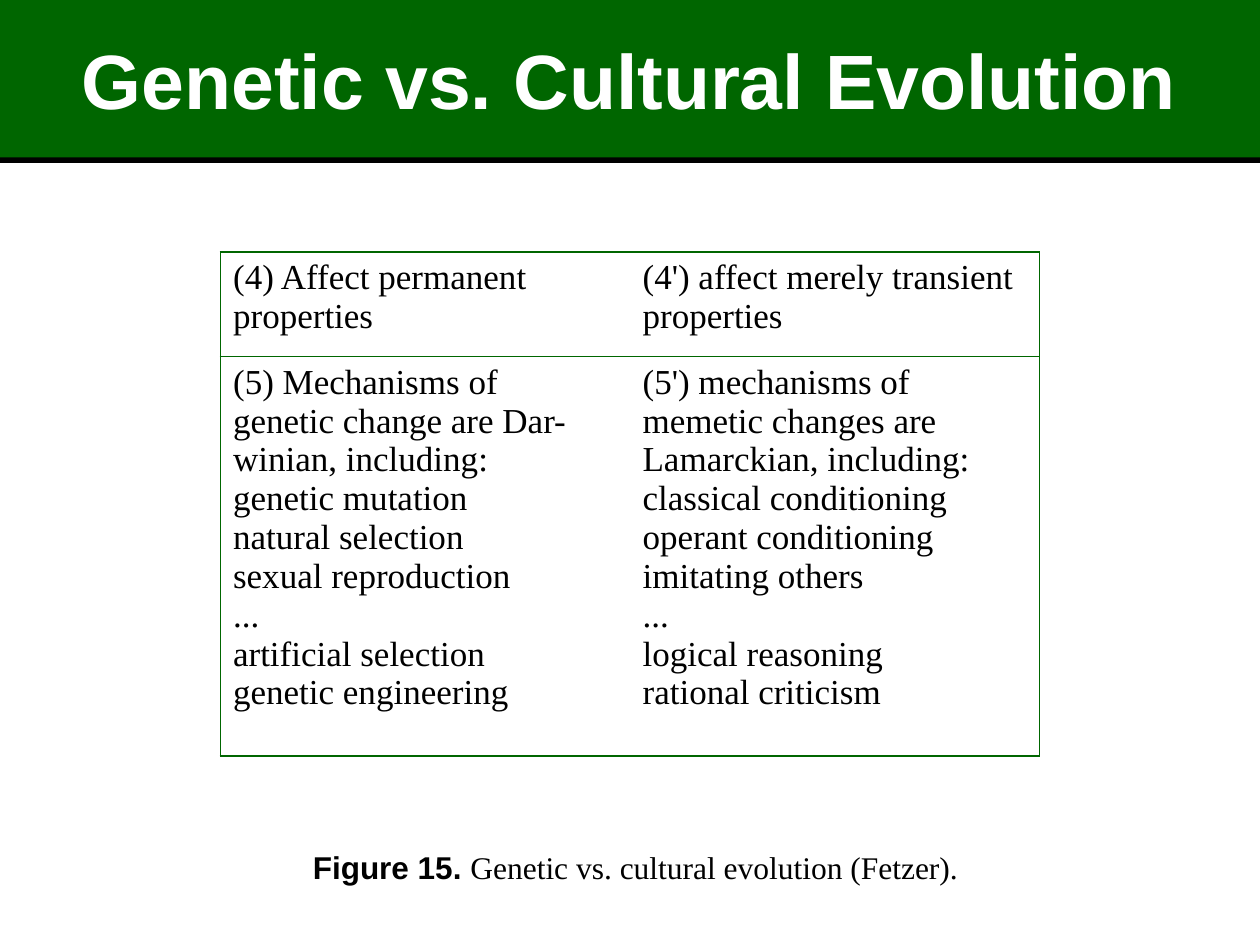
from lxml import etree
from pptx import Presentation
from pptx import util as u
from pptx.dml.color import RGBColor
from pptx.enum import shapes, text
from pptx.oxml import ns

SCALE = 9144  # EMU in one px, at 100 px to the inch
GREEN, BLACK, WHITE = "006600", "000000", "FFFFFF"
SANS, SERIF = "Arial", "Times New Roman"
OUTER, INNER = 1.08, 0.45  # table rule widths in points

ROWS = [
    (["(4) Affect permanent properties"],
     ["(4') affect merely transient properties"]),
    (["(5) Mechanisms of", "genetic change are Dar-", "winian, including:",
      "genetic mutation", "natural selection", "sexual reproduction", "...",
      "artificial selection", "genetic engineering"],
     ["(5') mechanisms of", "memetic changes are",
      "Lamarckian, including: classical conditioning operant conditioning "
      "imitating others",
      "...", "logical reasoning", "rational criticism"]),
]


def px(*lengths):
    return [u.Emu(length * SCALE) for length in lengths]


def color(value):
    return RGBColor.from_string(value)


def set_border(cell, index, side, width):
    """Rule one side of a cell, or leave it bare when width is None."""
    line = etree.Element(ns.qn(f"a:ln{side}"))
    if width is None:
        etree.SubElement(line, ns.qn("a:noFill"))
    else:
        line.set("w", str(u.Pt(width)))
        fill = etree.SubElement(line, ns.qn("a:solidFill"))
        etree.SubElement(fill, ns.qn("a:srgbClr"), val=GREEN)
    cell._tc.get_or_add_tcPr().insert(index, line)


class Slide:
    def __init__(self, deck):
        self.page = deck.slides.add_slide(deck.slide_layouts[6])

    def span(self, para, words, size, font, ink=BLACK, bold=False):
        run = para.add_run()
        run.text = words
        run.font.size = u.Pt(size)
        run.font.name = font
        run.font.bold = bold
        run.font.color.rgb = color(ink)

    def banner(self, words, left, top, width, height):
        box = self.page.shapes.add_shape(
            shapes.MSO_SHAPE.RECTANGLE, *px(left, top, width, height))
        box.shadow.inherit = False
        box.fill.solid()
        box.fill.fore_color.rgb = color(GREEN)
        box.line.fill.background()
        frame = box.text_frame
        frame.word_wrap = True
        frame.vertical_anchor = text.MSO_ANCHOR.MIDDLE
        para = frame.paragraphs[0]
        para.alignment = text.PP_ALIGN.CENTER
        self.span(para, words, 44, SANS, WHITE, True)

    def rule(self, x1, y1, x2, y2, width):
        line = self.page.shapes.add_connector(
            shapes.MSO_CONNECTOR.STRAIGHT, *px(x1, y1, x2, y2))
        line.line.color.rgb = color(BLACK)
        line.line.width = u.Pt(width)
        etree.SubElement(line._element.spPr, ns.qn("a:effectLst"))

    def table(self, rows, left, top, width, heights):
        columns = len(rows[0])
        grid = self.page.shapes.add_table(
            len(rows), columns, *px(left, top, width, sum(heights))).table
        grid.first_row = grid.horz_banding = False
        for row, height in zip(grid.rows, heights):
            row.height = px(height)[0]
        for r, row in enumerate(rows):
            for c, lines in enumerate(row):
                cell = grid.cell(r, c)
                cell.fill.background()
                borders = {
                    "L": OUTER if c == 0 else None,
                    "R": OUTER if c == columns - 1 else None,
                    "T": OUTER if r == 0 else INNER,
                    "B": OUTER if r == len(rows) - 1 else INNER,
                }
                for index, (side, weight) in enumerate(borders.items()):
                    set_border(cell, index, side, weight)
                frame = cell.text_frame
                for i, words in enumerate(lines):
                    para = frame.add_paragraph() if i else frame.paragraphs[0]
                    self.span(para, words, 20, SERIF)

    def caption(self, label, words, left, top, width, height):
        box = self.page.shapes.add_textbox(*px(left, top, width, height))
        frame = box.text_frame
        frame.word_wrap = True
        para = frame.paragraphs[0]
        para.alignment = text.PP_ALIGN.CENTER
        self.span(para, label, 18, SANS, bold=True)
        self.span(para, words, 18, SERIF)


def main():
    deck = Presentation()
    deck.slide_width, deck.slide_height = px(1000, 750)
    slide = Slide(deck)
    slide.table(ROWS, 175, 200, 650, [83, 317])
    slide.rule(0, 125, 1000, 125, 6)
    slide.banner("Genetic vs. Cultural Evolution", 0, 0, 1000, 125)
    slide.caption("Figure 15. ", "Genetic vs. cultural evolution (Fetzer).",
                  167, 668, 675, 40)
    deck.save("out.pptx")


if __name__ == "__main__":
    main()
